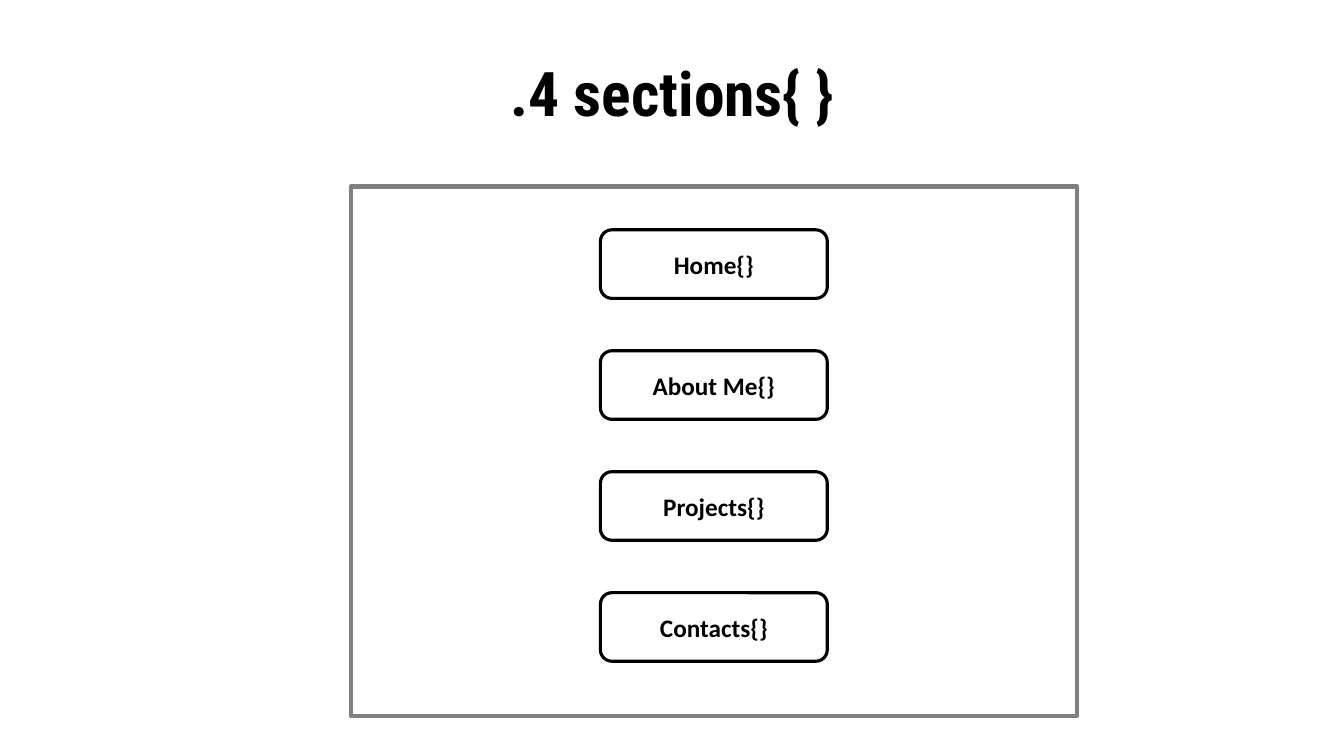
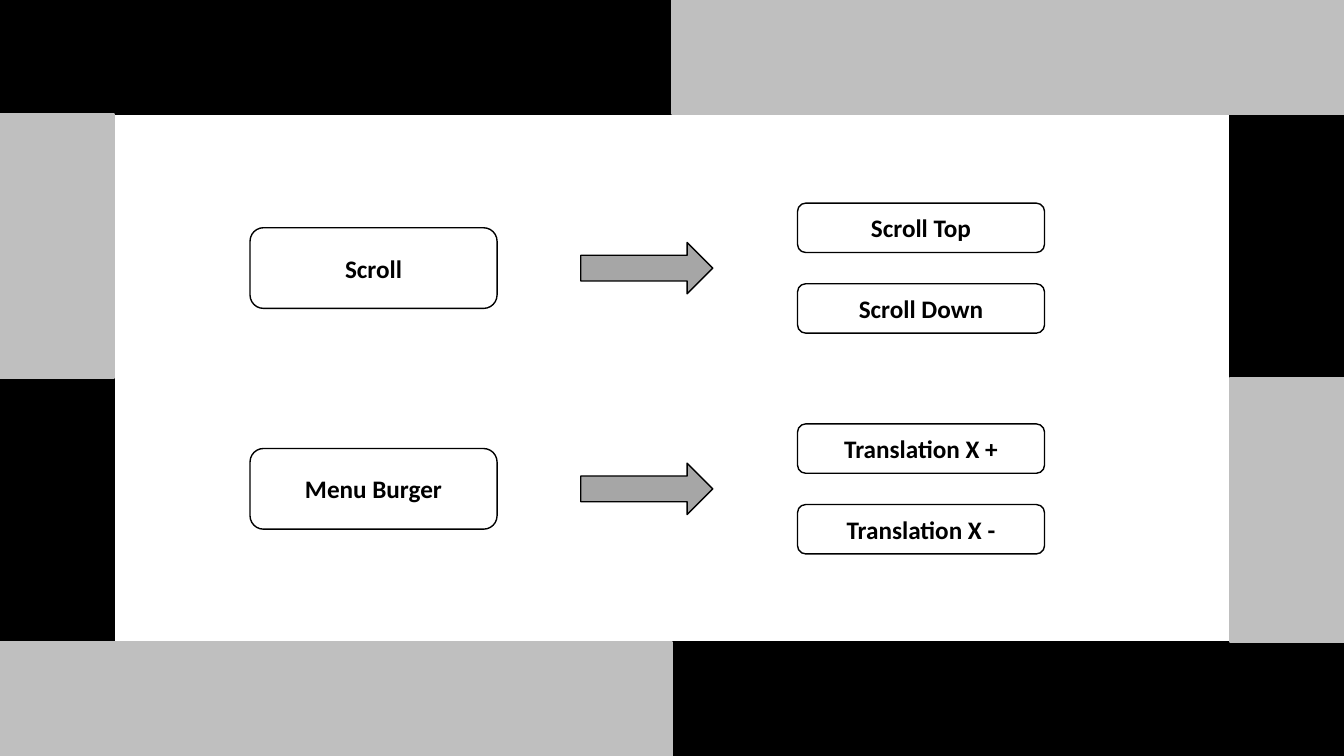
import pptx
import pptx.util
import pptx.dml.color
import pptx.enum.shapes
import pptx.enum.text
from dataclasses import dataclass


@dataclass(frozen=True)
class Theme:
    ink: str = "000000"
    paper: str = "FFFFFF"
    band: str = "BFBFBF"
    arrow: str = "A6A6A6"
    frame: str = "808080"
    title_font: str = "Roboto Condensed"
    body_font: str = "Calibri"
    title_size: int = 44
    body_size: int = 18
    thin: float = 1
    medium: float = 2.25
    thick: float = 3


theme = Theme()
kinds = pptx.enum.shapes.MSO_SHAPE
inch = pptx.util.Inches
rgb = pptx.dml.color.RGBColor.from_string
width, height = 13.33, 7.5


def write(frame, text, font, size):
    frame.text = text
    frame.word_wrap = True
    frame.vertical_anchor = pptx.enum.text.MSO_ANCHOR.MIDDLE
    paragraph = frame.paragraphs[0]
    paragraph.alignment = pptx.enum.text.PP_ALIGN.CENTER
    paragraph.font.name = font
    paragraph.font.size = pptx.util.Pt(size)
    paragraph.font.bold = True
    paragraph.font.color.rgb = rgb(theme.ink)
    return paragraph


def draw(slide, kind, box, fill, line, weight, label=None):
    shape = slide.shapes.add_shape(kind, *map(inch, box))
    shape.shadow.inherit = False
    if fill:
        shape.fill.solid()
        shape.fill.fore_color.rgb = rgb(fill)
    else:
        shape.fill.background()
    shape.line.color.rgb = rgb(line)
    shape.line.width = pptx.util.Pt(weight)
    if label:
        write(shape.text_frame, label, theme.body_font, theme.body_size)


deck = pptx.Presentation()
deck.slide_width, deck.slide_height = inch(width), inch(height)

sections = deck.slides.add_slide(deck.slide_layouts[5])
title = sections.shapes.title
title.left, title.top, title.width, title.height = map(inch, (0.92, 0.23, 11.5, 1.45))
heading = write(title.text_frame, ".4 sections{ }", theme.title_font, theme.title_size)
heading.line_spacing = 0.9

page_left, page_width = 3.48, 7.2
section_width, section_height, section_pitch = 2.25, 0.68, 1.2
section_left = page_left + (page_width - section_width) / 2
draw(sections, kinds.RECTANGLE, (page_left, 1.85, page_width, 5.25),
     None, theme.frame, theme.thick)
for row, name in enumerate(("Home{}", "About Me{}", "Projects{}", "Contacts{}")):
    draw(sections, kinds.FLOWCHART_ALTERNATE_PROCESS,
         (section_left, 2.28 + row * section_pitch, section_width, section_height),
         theme.paper, theme.ink, theme.medium, name)

features = deck.slides.add_slide(deck.slide_layouts[6])
feature_width, feature_height = 2.45, 0.8
arrow_width, arrow_height = 1.31, 0.51
action_height, action_pitch = 0.49, 0.8
behaviours = (
    ("Scroll", ("Scroll Top", "Scroll Down")),
    ("Menu Burger", ("Translation X +", "Translation X -")),
)
for row, (feature, actions) in enumerate(behaviours):
    middle = 2.66 + row * 2.19
    draw(features, kinds.FLOWCHART_ALTERNATE_PROCESS,
         (2.48, middle - feature_height / 2, feature_width, feature_height),
         theme.paper, theme.ink, theme.thin, feature)
    draw(features, kinds.RIGHT_ARROW,
         (5.76, middle - arrow_height / 2, arrow_width, arrow_height),
         theme.arrow, theme.ink, theme.thin)
    for step, action in enumerate(actions):
        action_middle = middle + (step - 0.5) * action_pitch
        draw(features, kinds.FLOWCHART_ALTERNATE_PROCESS,
             (7.91, action_middle - action_height / 2, feature_width, action_height),
             theme.paper, theme.ink, theme.thin, action)

band = 1.13
half_width, half_side = width / 2, height / 2 - band
for colour, far in ((theme.ink, 0), (theme.band, 1)):
    border = (
        (far * half_width, 0, half_width, band),
        ((1 - far) * half_width, height - band, half_width, band),
        (0, band + (1 - far) * half_side, band, half_side),
        (width - band, band + far * half_side, band, half_side),
    )
    for box in border:
        draw(features, kinds.RECTANGLE, box, colour, colour, theme.thin)

deck.save("out.pptx")
